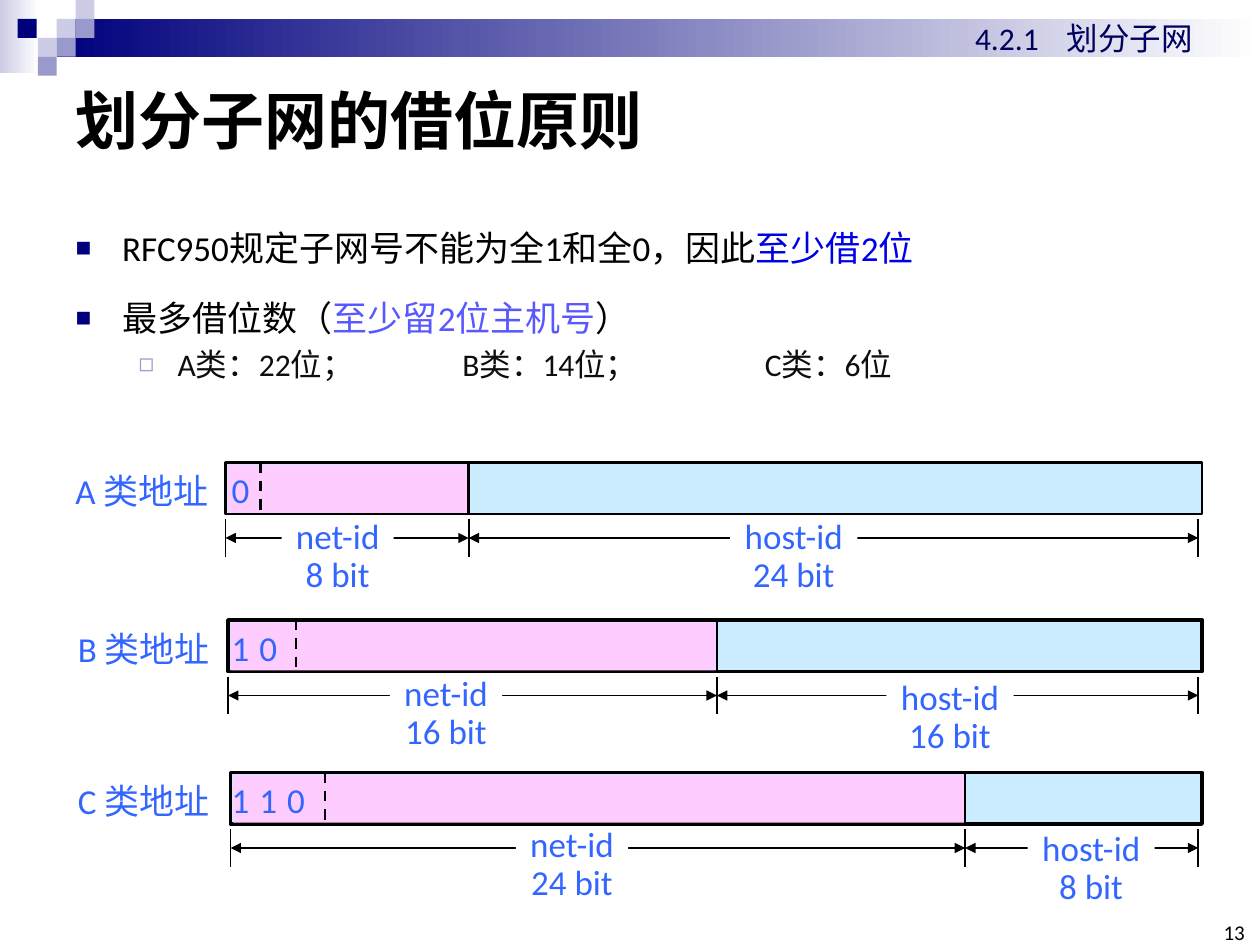
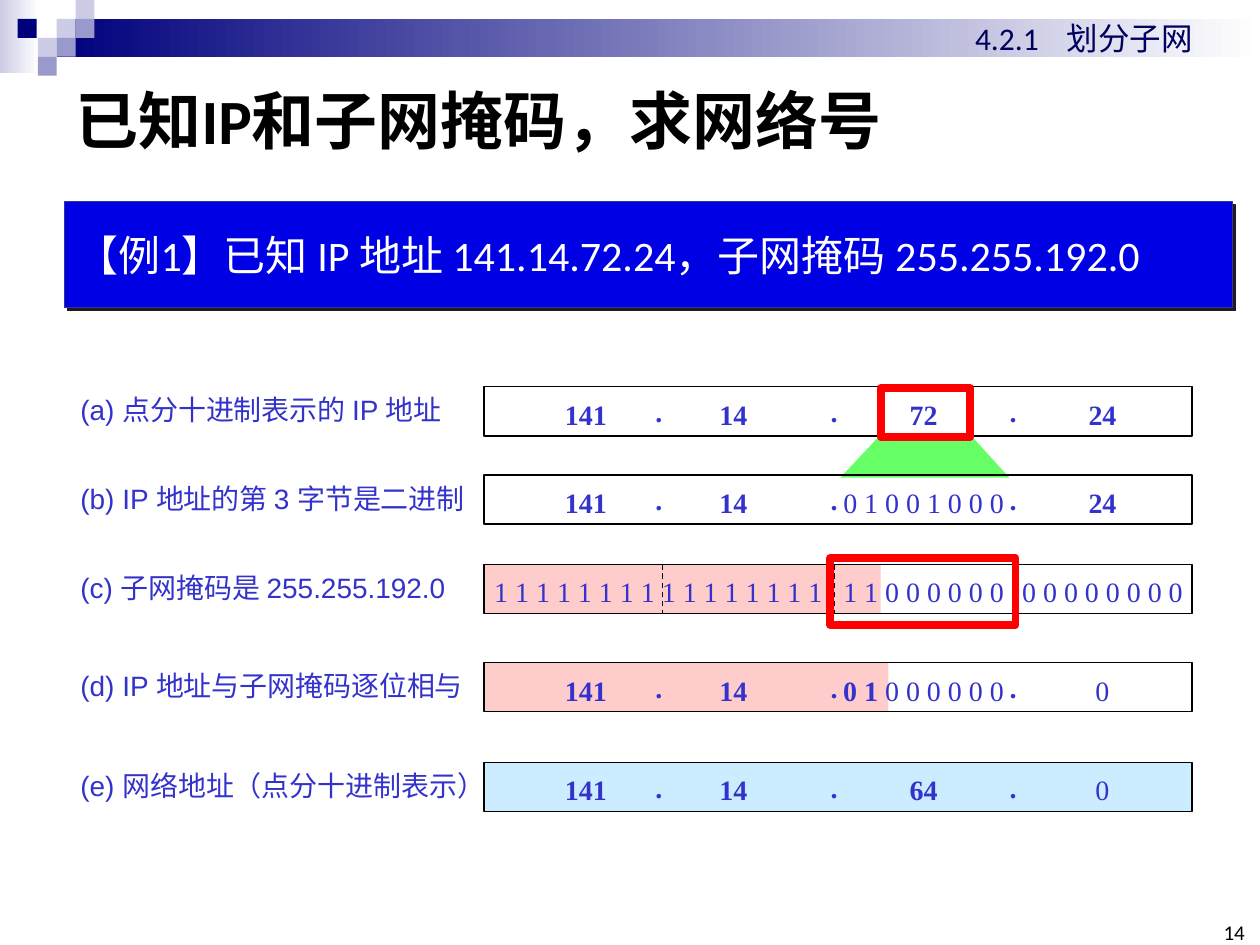
"""Build two slides on subnet borrowing and on finding a network number."""
from lxml.etree import SubElement as Sub
from pptx import Presentation
from pptx.dml.color import RGBColor
from pptx.enum.dml import MSO_LINE as Dash
from pptx.enum.shapes import MSO_CONNECTOR as Conn, MSO_SHAPE as Shape
from pptx.enum.text import MSO_ANCHOR as Anchor, PP_ALIGN as Align
from pptx.oxml.ns import qn
from pptx.util import Inches, Pt

BLACK = RGBColor(0, 0, 0)
WHITE = RGBColor(255, 255, 255)
NAVY = RGBColor(0x00, 0x00, 0x7D)
DEEP = RGBColor(0x00, 0x00, 0x5E)
PALE = RGBColor(0xCC, 0xCC, 0xE6)
LILAC = RGBColor(0x99, 0x99, 0xCC)
ROYAL = RGBColor(0x00, 0x00, 0xE4)
VIOLET = RGBColor(0x58, 0x58, 0xFF)
INK = RGBColor(0x0D, 0x0D, 0x0D)
AZURE = RGBColor(0x33, 0x66, 0xFF)
INDIGO = RGBColor(0x33, 0x33, 0xCC)
EDGE = RGBColor(0x33, 0x33, 0x99)
SKY = RGBColor(0xCC, 0xEC, 0xFF)
PINK = RGBColor(0xFF, 0xCC, 0xFF)
ROSE = RGBColor(0xFF, 0xCC, 0xCC)
GREEN = RGBColor(0x66, 0xFF, 0x66)
RED = RGBColor(255, 0, 0)


def look(size, rgb, name="Calibri", bold=False):
    return {"name": name, "size": Pt(size), "bold": bold, "rgb": rgb}


HEAD = look(36, BLACK, bold=True)
TOPIC = look(18, DEEP)
PAGE = look(12, BLACK)
BODY = look(20, BLACK)
SUB = look(18, INK)
FIELD = look(20, AZURE)
TASK = look(24, WHITE)
STEP = look(16, INDIGO, "Arial")
CELL = look(16, INDIGO, "Times New Roman")

SECTION = "4.2.1\t划分子网"
FADES = [((0, 0, 0.31, 0.58), PALE), ((0.45, 0.15, 9.55, 0.3), NAVY)]
TILES = [(0.45, 0.15, PALE), (0.6, 0, PALE), (0.6, 0.15, LILAC),
         (0.3, 0.3, PALE), (0.14, 0.15, NAVY), (0.45, 0.3, LILAC),
         (0.3, 0.45, LILAC)]

RULES = "划分子网的借位原则"
SQUARE = {"char": "■", "rgb": NAVY, "pct": 75, "left": 0.37, "hang": 0.37}
HOLLOW = {"char": "◻", "rgb": LILAC, "pct": 80, "left": 0.81, "hang": 0.31}
POINTS = [
    (0, 1.5, SQUARE, [("RFC950规定子网号不能为全1和全0，因此", BODY),
                      ("至少借2位", BODY | {"rgb": ROYAL})]),
    (0, 1.5, SQUARE, [("最多借位数（", BODY),
                      ("至少留2位主机号", BODY | {"rgb": VIOLET}),
                      ("）", BODY)]),
    (1, 1, HOLLOW, [("A类：22位；\tB类：14位；\tC类：6位", SUB)]),
]
TABS = (3.07, 5.47)
RIGHT = 9.54
CLASSES = [
    {"name": "A 类地址", "at": (0.5, 1.32), "top": 3.67, "left": 1.79,
     "bits": "0", "dash": 2.07, "split": 3.72, "edge": 1.5,
     "net": ("8 bit", 2.68, 0.4), "host": ("24 bit", 6.3, 0.4)},
    {"name": "B 类地址", "at": (0.52, 1.26), "top": 4.92, "left": 1.81,
     "bits": "10", "dash": 2.35, "split": 5.69, "edge": 2,
     "net": ("16 bit", 3.54, 0.4), "host": ("16 bit", 7.54, 0.43)},
    {"name": "C 类地址", "at": (0.52, 1.25), "top": 6.13, "left": 1.83,
     "bits": "110", "dash": 2.58, "split": 7.66, "edge": 2,
     "net": ("24 bit", 4.54, 0.39), "host": ("8 bit", 8.66, 0.42)},
]

SOLVE = "已知IP和子网掩码，求网络号"
EXAMPLE = "【例1】已知 IP 地址 141.14.72.24，子网掩码 255.255.192.0"
ONES, ZEROS = "1 1 1 1 1 1 1 1", "0 0 0 0 0 0 0 0"
DOTS = (5.23, 6.62, 8.04)
MIDS = (4.65, 5.82, 7.33, 8.75)
WIDE = (4.56, 5.89, 7.33, 8.75)
LEFT, SPAN, TALL = 3.84, 5.62, 0.39
STEPS = [
    {"text": "(a) 点分十进制表示的 IP 地址", "wide": 3.09, "top": 3.07,
     "cells": [("141", ""), ("14", ""), ("72", ""), ("24", "")]},
    {"text": "(b) IP 地址的第 3 字节是二进制", "wide": 3.28, "top": 3.77,
     "cells": [("141", ""), ("14", ""), ("", "0 1 0 0 1 0 0 0"), ("24", "")]},
    {"text": "(c) 子网掩码是 255.255.192.0", "wide": 3.11, "top": 4.48,
     "mask": True, "rose": 6.99,
     "cells": [("", ONES), ("", ONES), ("", "1 1 0 0 0 0 0 0"), ("", ZEROS)]},
    {"text": "(d) IP 地址与子网掩码逐位相与", "wide": 3.25, "top": 5.26,
     "rose": 7.05,
     "cells": [("141", ""), ("14", ""), ("0 1 ", "0 0 0 0 0 0"), ("", "0")]},
    {"text": "(e) 网络地址（点分十进制表示）", "wide": 3.42, "top": 6.05,
     "fill": SKY,
     "cells": [("141", ""), ("14", ""), ("64", ""), ("", "0")]},
]
BEAM = [(6.99, 3.45), (7.7, 3.45), (8.01, 3.79), (6.67, 3.79)]
FRAMES = [(6.99, 3.08, 0.71, 0.39), (6.59, 4.43, 1.47, 0.53)]


def inch(vals):
    return [Inches(v) for v in vals]


def write(par, runs):
    for text, fmt in runs:
        run = par.add_run()
        run.text = text
        for key, val in fmt.items():
            if key == "rgb":
                run.font.color.rgb = val
            else:
                setattr(run.font, key, val)


def set_tabs(par, stops):
    tabs = Sub(par._p.get_or_add_pPr(), qn("a:tabLst"))
    for stop in stops:
        Sub(tabs, qn("a:tab"), pos=str(Inches(stop)), algn="l")


def text(slide, box, lines, align=Align.LEFT, anchor=Anchor.TOP,
         wrap=False, inset=None, space=None):
    shape = slide.shapes.add_textbox(*inch(box))
    frame = shape.text_frame
    frame.word_wrap, frame.vertical_anchor = wrap, anchor
    if inset is not None:
        for side in ("left", "top", "right", "bottom"):
            setattr(frame, "margin_" + side, Inches(inset))
    for num, runs in enumerate(lines):
        par = frame.add_paragraph() if num else frame.paragraphs[0]
        par.alignment, par.line_spacing = align, space
        write(par, runs)
    return shape


def center(slide, mid, top, tall, runs):
    text(slide, (mid - 0.8, top, 1.6, tall), [runs], Align.CENTER,
         Anchor.MIDDLE, inset=0)


def paint(shape, fill=None, line=None, width=1):
    shape.shadow.inherit = False
    if fill is None:
        shape.fill.background()
    else:
        shape.fill.solid()
        shape.fill.fore_color.rgb = fill
    if line is None:
        shape.line.fill.background()
    else:
        shape.line.color.rgb, shape.line.width = line, Pt(width)
    return shape


def rect(slide, box, *style):
    return paint(slide.shapes.add_shape(Shape.RECTANGLE, *inch(box)), *style)


def rule(slide, ends, width=1, dash=False, heads=False):
    line = slide.shapes.add_connector(Conn.STRAIGHT, *inch(ends))
    line.line.color.rgb, line.line.width = BLACK, Pt(width)
    if dash:
        line.line.dash_style = Dash.DASH
    if heads:
        for tag in ("a:headEnd", "a:tailEnd"):
            Sub(line.line._get_or_add_ln(), qn(tag), type="triangle")
    Sub(line._element.spPr, qn("a:effectLst"))


def start(deck, layout, title, page):
    slide = deck.slides.add_slide(deck.slide_layouts[layout])
    for box, tint in FADES:
        fill = rect(slide, box, tint).fill
        fill.gradient()
        fill.gradient_angle = 0
        for stop, rgb in zip(fill.gradient_stops, (tint, WHITE)):
            stop.color.rgb = rgb
    for left, top, tint in TILES:
        rect(slide, (left, top, 0.15, 0.15), tint)
    head = slide.shapes.title
    head.left, head.top, head.width, head.height = inch((0.5, 0.5, 9, 0.89))
    head.text_frame.vertical_anchor = Anchor.MIDDLE
    par = head.text_frame.paragraphs[0]
    par.alignment = Align.LEFT
    write(par, [(title, HEAD)])
    text(slide, (9.65, 7.33, 0.23, 0.17), [[(page, PAGE)]], Align.RIGHT,
         Anchor.BOTTOM, inset=0)
    topic = text(slide, (7.64, 0.1, 1.97, 0.4), [[(SECTION, TOPIC)]])
    set_tabs(topic.text_frame.paragraphs[0], [0.73])
    return slide


def bullet(par, mark):
    props = par._p.get_or_add_pPr()
    props.set("marL", str(Inches(mark["left"])))
    props.set("indent", str(-Inches(mark["hang"])))
    Sub(Sub(props, qn("a:buClr")), qn("a:srgbClr"), val=str(mark["rgb"]))
    Sub(props, qn("a:buSzPct"), val=str(mark["pct"] * 1000))
    Sub(props, qn("a:buFont"), typeface="Arial")
    Sub(props, qn("a:buChar"), char=mark["char"])


def list_points(slide):
    body = slide.placeholders[1]
    body.left, body.top, body.width, body.height = inch((0.5, 1.58, 9.38, 2.03))
    frame = body.text_frame
    for num, (level, space, mark, runs) in enumerate(POINTS):
        par = frame.add_paragraph() if num else frame.paragraphs[0]
        par.level, par.line_spacing, par.space_before = level, space, Pt(4)
        bullet(par, mark)
        if level:
            set_tabs(par, TABS)
        write(par, runs)


def draw_class(slide, row):
    top, left, split = row["top"], row["left"], row["split"]
    parts = [("net-id", row["net"], 0.89, left, split),
             ("host-id", row["host"], 1.01, split, 9.51)]
    for name, (size, mid, drop), wide, near, far in parts:
        rule(slide, (near, top + 0.6, far, top + 0.6), heads=True)
        box = text(slide, (mid - wide / 2, top + drop, wide, 0.7),
                   [[(name, FIELD)], [(size, FIELD)]], Align.CENTER, space=0.9)
        box.fill.solid()
        box.fill.fore_color.rgb = WHITE
    rect(slide, (left, top, RIGHT - left, 0.41), SKY, BLACK, row["edge"])
    rect(slide, (left + 0.02, top + 0.02, split - left - 0.03, 0.38), PINK)
    for spot, dash in ((row["dash"], True), (split, False)):
        rule(slide, (spot, top, spot, top + 0.41), 1.5, dash)
    for spot in (left, split, 9.51):
        rule(slide, (spot, top + 0.45, spot, top + 0.75))
    for num, bit in enumerate(row["bits"]):
        center(slide, 1.91 + 0.22 * num, top, 0.43, [(bit, FIELD)])
    near, wide = row["at"]
    text(slide, (near, top + 0.01, wide, 0.43), [[(row["name"], FIELD)]],
         wrap=True)


def show_task(slide):
    box = rect(slide, (0.51, 1.6, 9.27, 0.84), ROYAL, EDGE, 0.75)
    glow = box._element.spPr.find(qn("a:effectLst"))
    cast = Sub(glow, qn("a:outerShdw"), dist=str(Pt(2.8)), dir="2700000",
               algn="ctr", rotWithShape="0")
    Sub(cast, qn("a:srgbClr"), val="1C1C1C")
    frame = box.text_frame
    frame.word_wrap, frame.vertical_anchor = True, Anchor.MIDDLE
    frame.paragraphs[0].alignment = Align.LEFT
    write(frame.paragraphs[0], [(EXAMPLE, TASK)])


def draw_step(slide, row):
    top, mask, bold = row["top"], row.get("mask"), CELL | {"bold": True}
    text(slide, (0.54, top, row["wide"], 0.36), [[(row["text"], STEP)]],
         wrap=True)
    if "rose" in row:
        rect(slide, (LEFT, top, row["rose"] - LEFT, TALL), ROSE)
    rect(slide, (LEFT, top, SPAN, TALL), row.get("fill"), BLACK, 0.75)
    for spot in DOTS if not mask else ():
        center(slide, spot, top, TALL, [(".", bold)])
    for spot in (5.26, 6.62, 8.04) if mask else ():
        rule(slide, (spot, top, spot, top + TALL), 0.75, dash=True)
    for mid, (strong, plain) in zip(WIDE if mask else MIDS, row["cells"]):
        runs = [(part, fmt) for part, fmt in ((strong, bold), (plain, CELL))
                if part]
        center(slide, mid, top + 0.02, TALL, runs)


def main():
    deck = Presentation()
    deck.slide_width, deck.slide_height = Inches(10), Inches(7.5)
    slide = start(deck, 1, RULES, "13")
    list_points(slide)
    for row in CLASSES:
        draw_class(slide, row)
    slide = start(deck, 5, SOLVE, "14")
    pen = slide.shapes.build_freeform(*inch(BEAM[0]))
    pen.add_line_segments([inch(spot) for spot in BEAM[1:]], close=True)
    paint(pen.convert_to_shape(), GREEN)
    show_task(slide)
    for row in STEPS:
        draw_step(slide, row)
    for box in FRAMES:
        rect(slide, box, None, RED, 4.5)
    deck.save("out.pptx")


if __name__ == "__main__":
    main()
